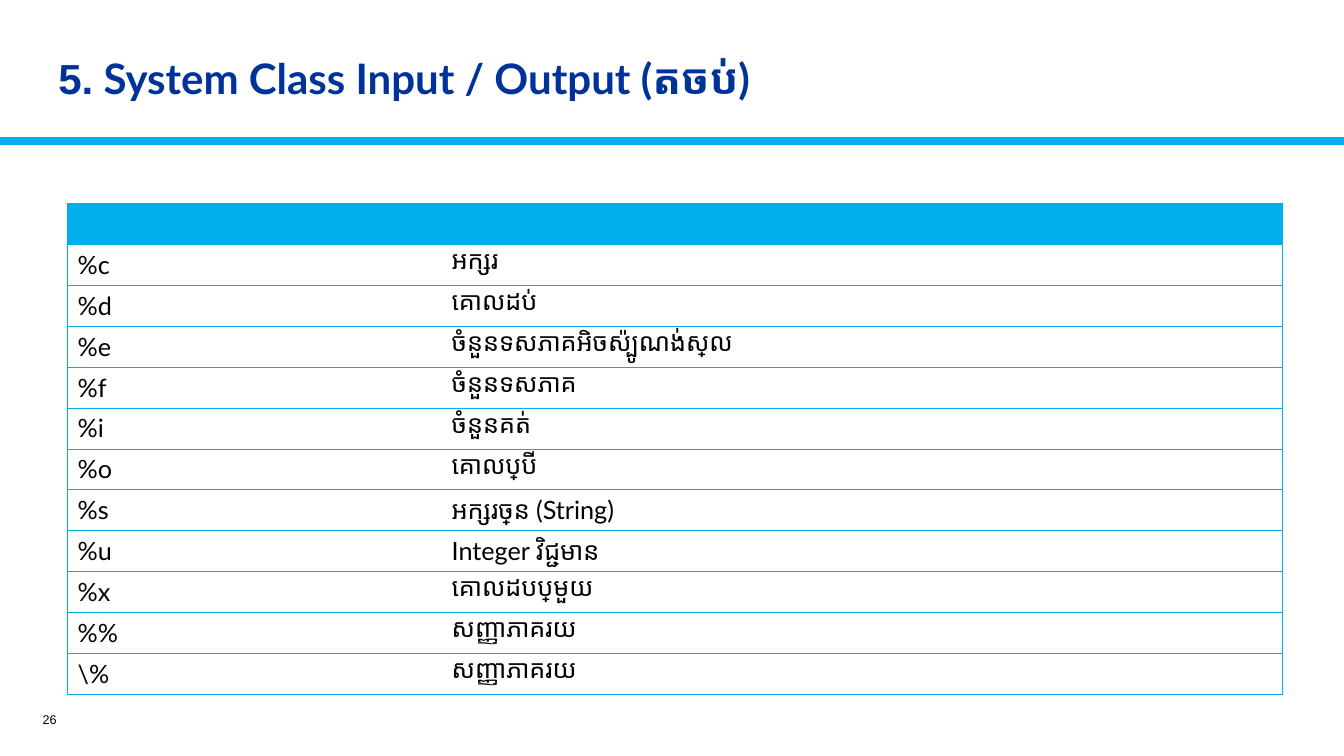
from dataclasses import dataclass

import lxml.etree
import pptx
import pptx.dml.color
import pptx.enum.shapes
import pptx.enum.text
import pptx.oxml.ns
import pptx.util

Inches = pptx.util.Inches
Pt = pptx.util.Pt
qn = pptx.oxml.ns.qn


@dataclass(frozen=True)
class Theme:
    accent: str = "00B0EA"
    title: str = "003399"
    text: str = "000000"
    body_font: str = "Lato"
    number_font: str = "Arial"
    title_size: float = 30
    body_size: float = 18
    page_size: float = 9
    rule_width: float = 6
    border_width: float = 0.5


@dataclass(frozen=True)
class Style:
    font: str
    size: float
    color: str
    bold: bool = False


@dataclass(frozen=True)
class Specifier:
    code: str
    meaning: str


THEME = Theme()
BODY = Style(THEME.body_font, THEME.body_size, THEME.text)
PAGE = Style(THEME.number_font, THEME.page_size, THEME.text)
TITLE = Style(THEME.body_font, THEME.title_size, THEME.title, True)
TITLE_NUMBER = Style(THEME.number_font, THEME.title_size, THEME.title, True)

SPECIFIERS = [
    Specifier("%c", "អក្សរ"),
    Specifier("%d", "គោលដប់"),
    Specifier("%e", "ចំនួនទសភាគអិចស៉្បូណង់ស្យែល"),
    Specifier("%f", "ចំនួនទសភាគ"),
    Specifier("%i", "ចំនួនគត់"),
    Specifier("%o", "គោលប្រាំបី"),
    Specifier("%s", "អក្សរច្រើន (String)"),
    Specifier("%u", "Integer វិជ្ជមាន"),
    Specifier("%x", "គោលដបប្រាំមួយ"),
    Specifier("%%", "សញ្ញាភាគរយ"),
    Specifier("\\%", "សញ្ញាភាគរយ"),
]
COLUMN_WIDTHS = (3.71, 8.34)
TABLE_HEIGHT = 4.87


def rgb(value: str) -> pptx.dml.color.RGBColor:
    return pptx.dml.color.RGBColor.from_string(value)


def add_run(paragraph, text: str, style: Style) -> None:
    run = paragraph.add_run()
    run.text = text
    run.font.name = style.font
    run.font.size = Pt(style.size)
    run.font.bold = style.bold
    run.font.color.rgb = rgb(style.color)


def add_text_box(slide, left: float, top: float, width: float, height: float):
    """Add a vertically centred text box and return its paragraph."""
    shape = slide.shapes.add_textbox(Inches(left), Inches(top), Inches(width), Inches(height))
    shape.text_frame.word_wrap = True
    shape.text_frame.vertical_anchor = pptx.enum.text.MSO_ANCHOR.MIDDLE
    return shape.text_frame.paragraphs[0]


def set_borders(cell, visible_sides: str) -> None:
    """Draw the named sides (L, R, T, B) and hide the others."""
    properties = cell._tc.get_or_add_tcPr()
    for index, side in enumerate("LRTB"):
        line = lxml.etree.Element(qn(f"a:ln{side}"), w=str(Pt(THEME.border_width)))
        if side in visible_sides:
            fill = lxml.etree.SubElement(line, qn("a:solidFill"))
            lxml.etree.SubElement(fill, qn("a:srgbClr"), val=THEME.accent)
        else:
            lxml.etree.SubElement(line, qn("a:noFill"))
        properties.insert(index, line)


def add_rule(slide, width: int) -> None:
    rule = slide.shapes.add_connector(
        pptx.enum.shapes.MSO_CONNECTOR.STRAIGHT, 0, Inches(1.4), width, Inches(1.4))
    rule.line.color.rgb = rgb(THEME.accent)
    rule.line.width = Pt(THEME.rule_width)
    lxml.etree.SubElement(rule._element.spPr, qn("a:effectLst"))


def add_specifier_table(slide) -> None:
    row_count = len(SPECIFIERS) + 1
    table = slide.shapes.add_table(
        row_count, len(COLUMN_WIDTHS), Inches(0.67), Inches(2.02),
        Inches(sum(COLUMN_WIDTHS)), Inches(TABLE_HEIGHT)).table
    table.first_row = True
    table.horz_banding = False
    for column, width in zip(table.columns, COLUMN_WIDTHS):
        column.width = Inches(width)
    for row in table.rows:
        row.height = Inches(TABLE_HEIGHT / row_count)
        for cell, outer_side in zip(row.cells, "LR"):
            cell.fill.background()
            set_borders(cell, outer_side + "TB")

    # Blank coloured header
    for cell in table.rows[0].cells:
        cell.fill.solid()
        cell.fill.fore_color.rgb = rgb(THEME.accent)
        cell.text_frame.paragraphs[0].font.size = Pt(THEME.body_size)

    # Specifier rows
    for row_index, specifier in enumerate(SPECIFIERS, start=1):
        for column_index, text in enumerate((specifier.code, specifier.meaning)):
            cell = table.cell(row_index, column_index)
            add_run(cell.text_frame.paragraphs[0], text, BODY)


def main() -> None:
    presentation = pptx.Presentation()
    presentation.slide_width = Inches(13.33)
    presentation.slide_height = Inches(7.5)
    slide = presentation.slides.add_slide(presentation.slide_layouts[6])

    # Rule and title
    add_rule(slide, presentation.slide_width)
    title = add_text_box(slide, 0.48, 0.39, 9.02, 0.83)
    title.line_spacing = 0.9
    add_run(title, "5.", TITLE_NUMBER)
    add_run(title, " System Class Input / Output (តចប់)", TITLE)

    # Page number
    page = add_text_box(slide, 0.09, 6.99, 0.57, 0.3)
    page.alignment = pptx.enum.text.PP_ALIGN.RIGHT
    add_run(page, "26", PAGE)

    # Format specifiers
    add_specifier_table(slide)
    presentation.save("out.pptx")


if __name__ == "__main__":
    main()
